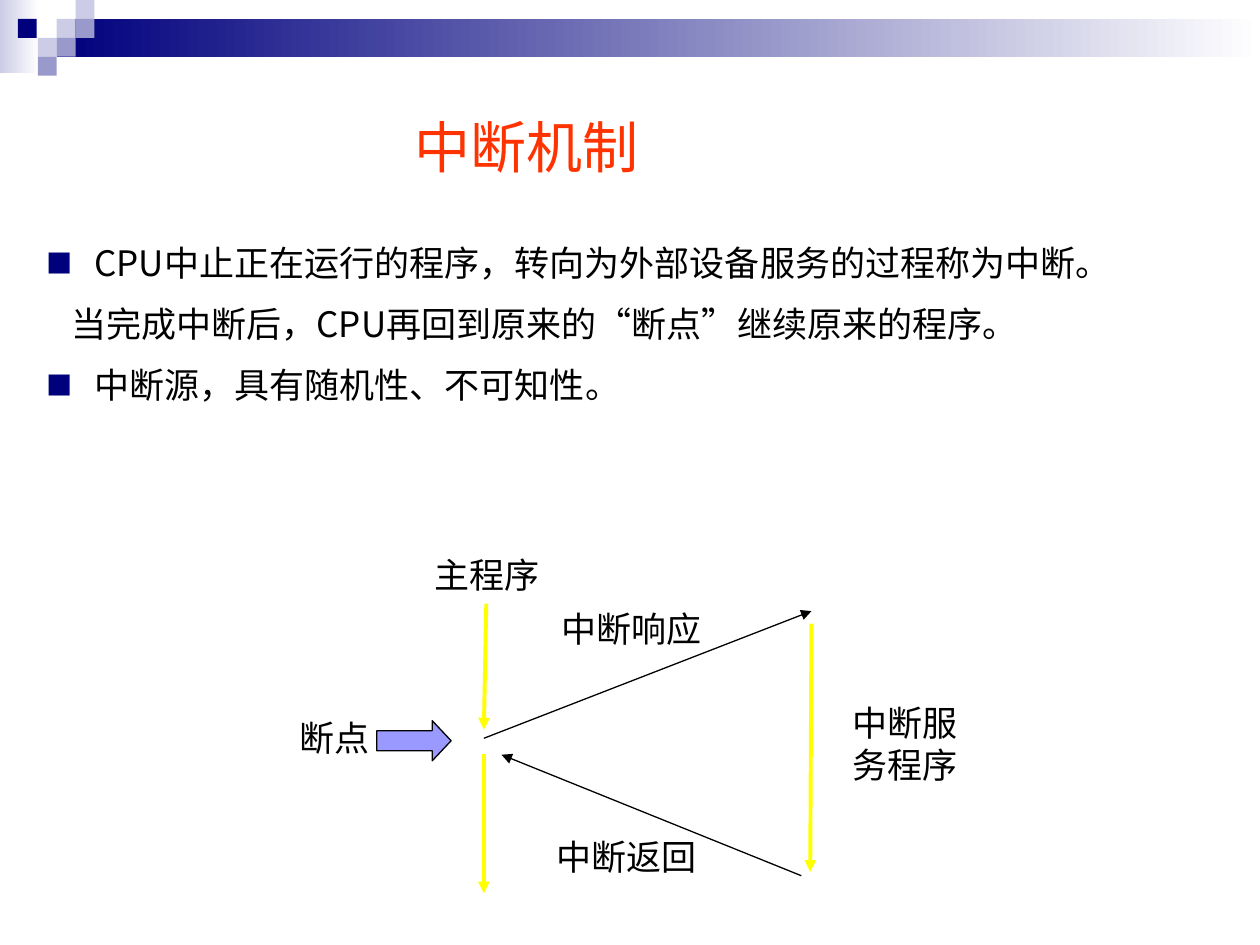
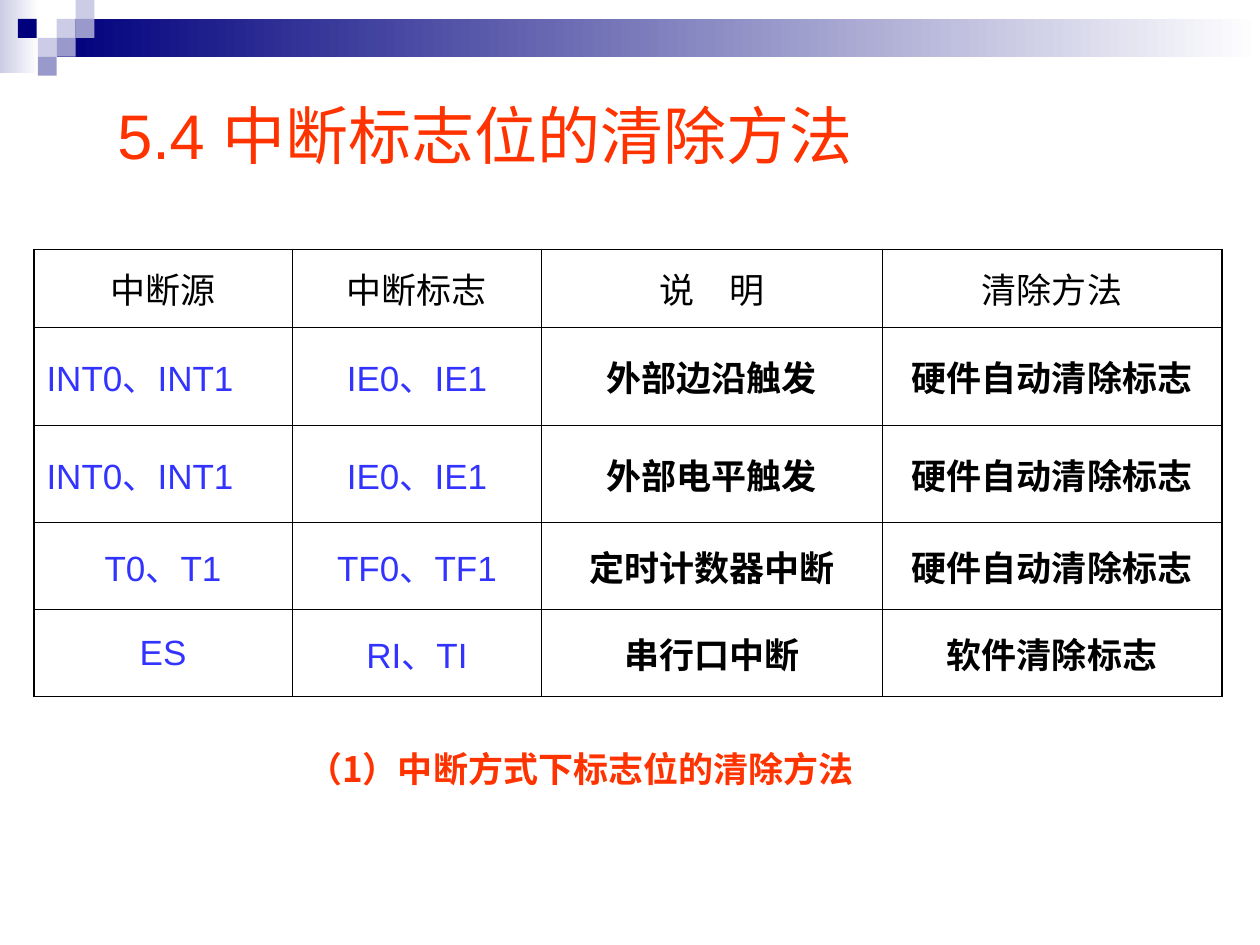
from dataclasses import dataclass

from lxml.etree import SubElement as Sub
from pptx import Presentation
from pptx.dml.color import RGBColor
from pptx.enum.shapes import MSO_CONNECTOR as Link, MSO_SHAPE as Form
from pptx.enum.text import MSO_ANCHOR as Anchor, MSO_AUTO_SIZE as Fit, PP_ALIGN as Align
from pptx.oxml import parse_xml
from pptx.oxml.ns import nsdecls, qn
from pptx.util import Pt

# Shared look
NAVY, PALE, MID = "00007D", "CCCCE6", "9999CC"
RED, BLUE, BLACK, WHITE, GOLD = "FF3300", "3333FF", "000000", "FFFFFF", "FFFF00"
SANS, HAN = "Arial", "Noto Sans CJK SC"
UNIT = 10.8  # side of one corner square


@dataclass
class Box:
    x: float
    y: float
    w: float
    h: float

    def spot(self) -> tuple:
        return Pt(self.x), Pt(self.y), Pt(self.w), Pt(self.h)


@dataclass
class Label:
    text: str
    box: Box


@dataclass
class Arrow:
    start: tuple
    end: tuple
    hue: str
    width: float


@dataclass
class Item:
    text: str
    left: float
    first: float
    mark: bool


BANDS = [(Box(0, 0, 22.3, 41.8), PALE), (Box(32.4, UNIT, 687.6, 21.6), NAVY)]
TILES = [(3, 1, PALE), (4, 0, PALE), (4, 1, MID), (2, 2, PALE),
         (0.94, 1, NAVY), (3, 2, MID), (2, 3, MID)]  # column, row, colour

ITEMS = [
    Item("CPU中止正在运行的程序，转向为外部设备服务的过程称为中断。", 27.4, -27.4, True),
    Item("当完成中断后，CPU再回到原来的“断点”继续原来的程序。", 27.4, -13.2, False),
    Item("中断源，具有随机性、不可知性。", 27.4, -27.4, True),
]
ARROWS = [
    Arrow((277.9, 344.9), (276.5, 416.9), GOLD, 2.25),
    Arrow((276.5, 430.6), (276.5, 510.5), GOLD, 2.25),
    Arrow((276.5, 421.9), (463.7, 349.2), BLACK, 0.75),
    Arrow((463.7, 356.4), (463, 498.2), GOLD, 2.25),
    Arrow((457.9, 500.4), (286.6, 431.3), BLACK, 0.75),
]
LABELS = [
    Label("主程序", Box(241.2, 312.5, 76.3, 31.7)),
    Label("断点", Box(164.2, 406.1, 56.9, 31.7)),
    Label("中断响应", Box(313.9, 343.4, 100.8, 31.7)),
    Label("中断返回", Box(311, 473.8, 100.8, 31.7)),
    Label("中断服务程序", Box(480.2, 397.4, 87.1, 55.4)),
]

WIDTHS = [147.6, 142.6, 194.4, 194.4]
HEIGHTS = [44.6, 55.7, 55.7, 49.7, 49.7]
ROWS = [
    ("中断源", "中断标志", "说　明", "清除方法"),
    ("INT0、INT1", "IE0、IE1", "外部边沿触发", "硬件自动清除标志"),
    ("INT0、INT1", "IE0、IE1", "外部电平触发", "硬件自动清除标志"),
    ("T0、T1", "TF0、TF1", "定时计数器中断", "硬件自动清除标志"),
    ("ES", "RI、TI", "串行口中断", "软件清除标志"),
]


def rgb(hue: str) -> RGBColor:
    return RGBColor.from_string(hue)


def style(para, size: float, hue: str, face: str, bold: bool = False) -> None:
    for run in para.runs:
        font = run.font
        font.size, font.bold, font.name = Pt(size), bold, face
        font.color.rgb = rgb(hue)
        Sub(font._element, qn("a:ea")).set("typeface", HAN)


def block(slide, form, box: Box):
    shape = slide.shapes.add_shape(form, *box.spot())
    shape.shadow.inherit = False
    return shape


def paint(shape, hue: str) -> None:
    shape.fill.solid()
    shape.fill.fore_color.rgb = rgb(hue)


def frame(slide, box: Box):
    text = slide.shapes.add_textbox(*box.spot()).text_frame
    text.word_wrap = True
    return text


def banner(slide) -> None:
    for box, hue in BANDS:
        band = block(slide, Form.RECTANGLE, box)
        band.line.fill.background()
        band.fill.gradient()
        band.fill.gradient_angle = 0
        for stop, tint in zip(band.fill.gradient_stops, (hue, WHITE)):
            stop.color.rgb = rgb(tint)
    for col, row, hue in TILES:
        tile = block(slide, Form.RECTANGLE, Box(col * UNIT, row * UNIT, UNIT, UNIT))
        tile.line.fill.background()
        paint(tile, hue)


def start(deck, text: str, box: Box, size: float):
    """Add a slide with the corner banner and its title."""
    slide = deck.slides.add_slide(deck.slide_layouts[5])
    banner(slide)
    title = slide.shapes.title
    title.left, title.top, title.width, title.height = box.spot()
    body = title.text_frame
    body.text = text
    body.auto_size, body.vertical_anchor = Fit.NONE, Anchor.MIDDLE
    body.paragraphs[0].alignment = Align.LEFT
    style(body.paragraphs[0], size, RED, SANS)
    return slide


def write(slide, label: Label, hue: str, face: str, bold: bool = False) -> None:
    text = frame(slide, label.box)
    text.text = label.text
    style(text.paragraphs[0], 20, hue, face, bold)


def bullets(slide, box: Box, items: list) -> None:
    text = frame(slide, box)
    text.text = "\n".join(item.text for item in items)
    for para, item in zip(text.paragraphs, items):
        para.line_spacing, para.space_before = 1.25, Pt(5)
        style(para, 20, BLACK, HAN)
        props = para._p.get_or_add_pPr()
        props.set("marL", str(Pt(item.left)))
        props.set("indent", str(Pt(item.first)))
        if item.mark:
            Sub(Sub(props, qn("a:buClr")), qn("a:srgbClr")).set("val", NAVY)
            Sub(props, qn("a:buSzPct")).set("val", "75000")
            Sub(props, qn("a:buFont")).set("typeface", HAN)
            Sub(props, qn("a:buChar")).set("char", "■")


def link(slide, arrow: Arrow) -> None:
    ends = [Pt(n) for n in arrow.start + arrow.end]
    line = slide.shapes.add_connector(Link.STRAIGHT, *ends)
    line.line.color.rgb = rgb(arrow.hue)
    line.line.width = Pt(arrow.width)
    Sub(line.line._get_or_add_ln(), qn("a:tailEnd")).set("type", "triangle")
    Sub(line._element.spPr, qn("a:effectLst"))


def edge(cell, outer: dict) -> None:
    """Draw the four cell borders, heavier on the table's outside."""
    props = cell._tc.get_or_add_tcPr()
    for spot, side in enumerate("LRTB"):
        width = Pt(1.08 if outer[side] else 0.45)
        props.insert(spot, parse_xml(
            f'<a:ln{side} {nsdecls("a")} w="{width}"><a:solidFill>'
            f'<a:srgbClr val="{BLACK}"/></a:solidFill></a:ln{side}>'))


def grid(slide, x: float, y: float) -> None:
    box = Box(x, y, sum(WIDTHS), sum(HEIGHTS))
    table = slide.shapes.add_table(len(ROWS), len(WIDTHS), *box.spot()).table
    table.first_row = table.horz_banding = False
    for col, width in zip(table.columns, WIDTHS):
        col.width = Pt(width)
    for row, height in zip(table.rows, HEIGHTS):
        row.height = Pt(height)
    for r, words in enumerate(ROWS):
        for c, word in enumerate(words):
            cell = table.cell(r, c)
            cell.text = word
            cell.vertical_anchor = Anchor.MIDDLE
            paint(cell, WHITE)
            edge(cell, {"L": c == 0, "R": c == len(WIDTHS) - 1,
                        "T": r == 0, "B": r == len(ROWS) - 1})
            para = cell.text_frame.paragraphs[0]
            para.space_before = Pt(5)
            para.alignment = Align.LEFT if word.startswith("INT") else Align.CENTER
            flag = r > 0 and c < 2
            style(para, 20, BLUE if flag else BLACK,
                  SANS if r else HAN, r > 0 and not flag)


def main() -> None:
    deck = Presentation()
    deck.slide_width, deck.slide_height = Pt(720), Pt(540)

    # Slide 1: how an interrupt works
    slide = start(deck, "中断机制", Box(229.7, 58.3, 218.2, 50.4), 32)
    bullets(slide, Box(19.4, 128.2, 648, 124.6), ITEMS)
    for arrow in ARROWS:
        link(slide, arrow)
    for label in LABELS:
        write(slide, label, BLACK, SANS)
    mark = block(slide, Form.RIGHT_ARROW, Box(215.3, 411.8, 42.5, 23))
    mark.adjustments[0], mark.adjustments[1] = 0.5, 0.47
    paint(mark, "9999FF")
    mark.line.color.rgb, mark.line.width = rgb(BLACK), Pt(0.75)

    # Slide 2: how the flags are cleared
    slide = start(deck, "5.4 中断标志位的清除方法", Box(59.8, 48.2, 632.2, 57.6), 36)
    grid(slide, 19.4, 142.6)
    note = Label("（1）中断方式下标志位的清除方法", Box(168.5, 423.4, 335.5, 31.7))
    write(slide, note, RED, HAN, True)

    deck.save("out.pptx")


if __name__ == "__main__":
    main()
